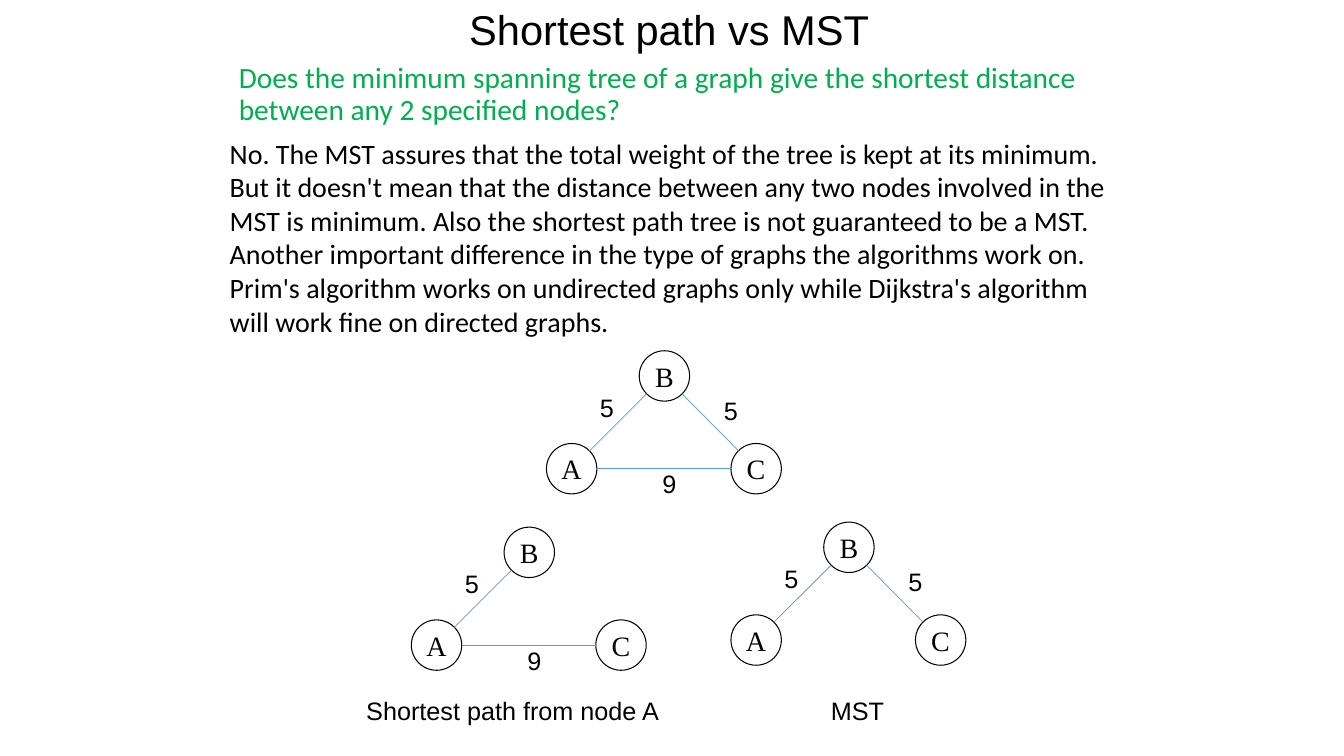
import math
from pptx import Presentation
from pptx import util as u
from pptx.dml.color import RGBColor
from pptx.enum import shapes, text
from pptx.oxml.ns import qn
from lxml import etree

NODE = 0.5
NODES = {"A": (0, 0.92), "B": (0.92, 0), "C": (1.83, 0.92)}
WEIGHTS = {"AB": ("5", 0.43, 0.36), "BC": ("5", 1.66, 0.39), "AC": ("9", 1.05, 1.12)}
QUESTION = ("Does the minimum spanning tree of a graph give the shortest distance "
            "between any 2 specified nodes?")
ANSWER = ("No. The MST assures that the total weight of the tree is kept at its minimum. "
          "But it doesn't mean that the distance between any two nodes involved in the MST "
          "is minimum. Also the shortest path tree is not guaranteed to be a MST. Another "
          "important difference in the type of graphs the algorithms work on. Prim's "
          "algorithm works on undirected graphs only while Dijkstra's algorithm will work "
          "fine on directed graphs.")


def rgb(value):
    """Return the colour for a hex string."""
    return RGBColor.from_string(value)


def write(sp, words, size, font, color="000000", align=text.PP_ALIGN.CENTER, wrap=False):
    """Put one formatted paragraph into a shape and return it."""
    tf = sp.text_frame
    tf.word_wrap = wrap
    p = tf.paragraphs[0]
    p.text = words
    p.alignment = align
    f = p.runs[0].font
    f.size, f.name = u.Pt(size), font
    f.color.rgb = rgb(color)
    return p


def add_text(s, box, words, size, font="Arial", **style):
    """Add a text box at the given box and return its paragraph."""
    sp = s.shapes.add_textbox(*map(u.Inches, box))
    return write(sp, words, size, font, **style)


def add_heading(s, left, top, width):
    """Add the title, the question and the answer down from the given corner."""
    p = add_text(s, (left + 0.15, top, width, 0.58), "Shortest path vs MST", 29.7, wrap=True)
    p.line_spacing = 0.9
    s.shapes[-1].text_frame.vertical_anchor = text.MSO_ANCHOR.MIDDLE
    body = dict(font="Calibri", align=text.PP_ALIGN.LEFT, wrap=True)
    p = add_text(s, (left + 0.09, top + 0.55, width, 0.75), QUESTION, 21, color="00B050", **body)
    p.line_spacing, p.space_before = 0.9, u.Pt(7.5)
    add_text(s, (left, top + 1.27, width + 0.37, 2.12), ANSWER, 20, **body)


def add_node(s, left, top, name):
    """Add one outlined circle with its letter."""
    sp = s.shapes.add_shape(shapes.MSO_SHAPE.OVAL, *map(u.Inches, (left, top, NODE, NODE)))
    sp.shadow.inherit = False
    sp.fill.background()
    sp.line.color.rgb = rgb("000000")
    sp.line.width = u.Pt(0.75)
    sp.text_frame.vertical_anchor = text.MSO_ANCHOR.MIDDLE
    write(sp, name, 20, "Times New Roman")


def add_edge(s, left, top, edge):
    """Add a line between the rims of two nodes, with its weight."""
    (x1, y1), (x2, y2) = (NODES[n] for n in edge)
    length = math.hypot(x2 - x1, y2 - y1)
    r = NODE / 2
    dx, dy = r * (x2 - x1) / length, r * (y2 - y1) / length
    ends = (left + x1 + r + dx, top + y1 + r + dy, left + x2 + r - dx, top + y2 + r - dy)
    line = s.shapes.add_connector(shapes.MSO_CONNECTOR.STRAIGHT, *map(u.Inches, ends))
    line.line.color.rgb = rgb("5B9BD5")
    line.line.width = u.Pt(0.5)
    etree.SubElement(line._element.spPr, qn("a:effectLst"))
    weight, x, y = WEIGHTS[edge]
    add_text(s, (left + x, top + y, 0.34, 0.4), weight, 18)


def add_graph(s, left, top, edges):
    """Add the three nodes and the chosen edges from the given corner."""
    for name, (x, y) in NODES.items():
        add_node(s, left + x, top + y, name)
    for edge in edges:
        add_edge(s, left, top, edge)


def main():
    """Build the slide and save it."""
    prs = Presentation()
    prs.slide_width, prs.slide_height = u.Inches(13.33), u.Inches(7.5)
    s = prs.slides.add_slide(prs.slide_layouts[6])
    add_heading(s, 2.18, 0.03, 8.62)
    add_graph(s, 5.42, 3.48, ("AC", "AB", "BC"))
    add_graph(s, 4.08, 5.23, ("AC", "AB"))
    add_graph(s, 7.25, 5.18, ("AB", "BC"))
    add_text(s, (3.52, 6.85, 3.13, 0.4), "Shortest path from node A", 18)
    add_text(s, (8.14, 6.85, 0.73, 0.4), "MST", 18)
    prs.save("out.pptx")


if __name__ == "__main__":
    main()
